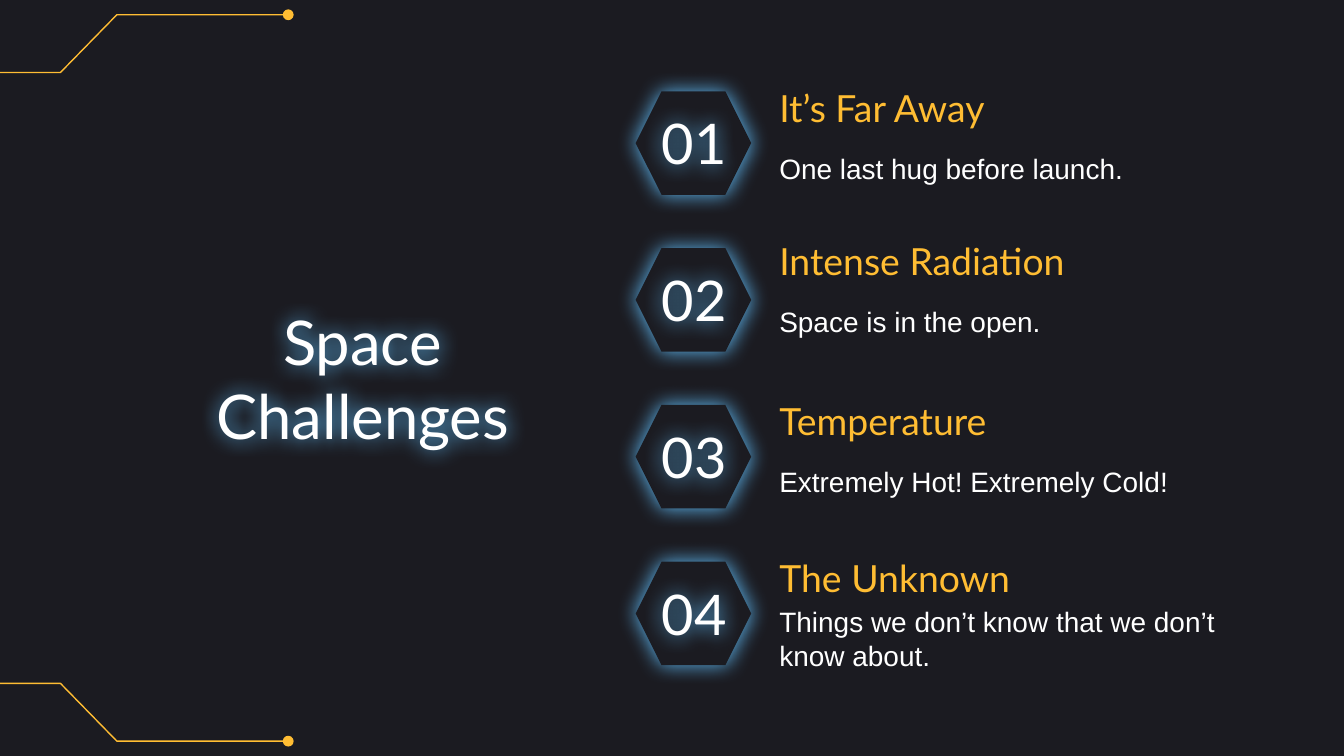
from lxml.etree import SubElement
from pptx import Presentation
from pptx.dml.color import RGBColor
from pptx.enum.shapes import MSO_SHAPE
from pptx.enum.text import MSO_ANCHOR, MSO_AUTO_SIZE, PP_ALIGN
from pptx.oxml.ns import qn
from pptx.util import Inches, Pt

SLIDE_HEIGHT = 5.625
DARK, GOLD, WHITE, GLOW = "1B1B21", "FFBD33", "FFFFFF", "60BBF5"
HEXAGON_TOP, HEXAGON_STEP = 0.68, (4.18 - 0.68) / 3

CHALLENGES = [
    ("It’s Far Away", "One last hug before launch.", 0.62),
    ("Intense Radiation", "Space is in the open.", 1.76),
    ("Temperature", "Extremely Hot! Extremely Cold!", 2.95),
    ("The Unknown", "Things we don’t know that we don’t know about.", 4.12),
]


def color(value):
    return RGBColor.from_string(value)


def set_fill(shape, value):
    shape.fill.solid()
    shape.fill.fore_color.rgb = color(value)


def set_line(shape):
    shape.line.color.rgb = color(GOLD)
    shape.line.width = Pt(0.75)


def add_glow(shape):
    shape.shadow.inherit = False
    effects = shape._element.spPr.find(qn("a:effectLst"))
    shadow = SubElement(effects, qn("a:outerShdw"), blurRad=str(Pt(11.2)),
                        algn="bl", rotWithShape="0")
    SubElement(shadow, qn("a:srgbClr"), val=GLOW)


def write_text(shape, lines, size, font, value, align=PP_ALIGN.LEFT):
    frame = shape.text_frame
    frame.word_wrap = True
    frame.auto_size = MSO_AUTO_SIZE.NONE
    frame.vertical_anchor = MSO_ANCHOR.MIDDLE
    frame.margin_left = frame.margin_right = Inches(0.1)
    frame.margin_top = frame.margin_bottom = Inches(0.1)
    paragraph = frame.paragraphs[0]
    paragraph.alignment = align
    for index, line in enumerate(lines):
        if index:
            paragraph.add_line_break()
        run = paragraph.add_run()
        run.text = line
        run.font.size = Pt(size)
        run.font.name = font
        run.font.color.rgb = color(value)


def add_text(slide, left, top, width, height, text, size, font, value, align=PP_ALIGN.LEFT):
    box = slide.shapes.add_textbox(Inches(left), Inches(top), Inches(width), Inches(height))
    write_text(box, [text], size, font, value, align)
    return box


def add_shape(slide, kind, left, top, width, height, value):
    shape = slide.shapes.add_shape(kind, Inches(left), Inches(top), Inches(width), Inches(height))
    shape.shadow.inherit = False
    set_fill(shape, value)
    shape.line.fill.background()
    return shape


def add_circuit(slide, inner, outer):
    points = [(Inches(x), Inches(y)) for x, y in
              [(-0.14, inner), (0.45, inner), (0.87, outer), (2.14, outer)]]
    builder = slide.shapes.build_freeform(*points[0])
    builder.add_line_segments(points[1:], close=False)
    trace = builder.convert_to_shape()
    trace.shadow.inherit = False
    trace.fill.background()
    set_line(trace)
    dot = add_shape(slide, MSO_SHAPE.OVAL, 2.11, outer - 0.035, 0.07, 0.07, GOLD)
    set_line(dot)


def add_number(slide, index):
    top = HEXAGON_TOP + index * HEXAGON_STEP
    hexagon = add_shape(slide, MSO_SHAPE.HEXAGON, 4.73, top, 0.86, 0.77, DARK)
    add_glow(hexagon)
    number = add_text(slide, 4.78, top + 0.07, 0.77, 0.62, f"{index + 1:02d}",
                      30, "Lato", WHITE, PP_ALIGN.CENTER)
    add_glow(number)


def add_challenge(slide, heading, description, top):
    add_text(slide, 5.7, top, 3.51, 0.36, heading, 20, "Lato", GOLD)
    add_text(slide, 5.7, top + 0.37, 3.51, 0.52, description, 15, "Arial", WHITE)


def format_title(slide):
    title = slide.shapes.title
    title.left, title.top = Inches(1.23), Inches(2.11)
    title.width, title.height = Inches(2.94), Inches(1.4)
    title.fill.background()
    write_text(title, ["Space", "Challenges"], 33, "Lato", WHITE, PP_ALIGN.CENTER)
    add_glow(title)


def main():
    presentation = Presentation()
    presentation.slide_width = Inches(10)
    presentation.slide_height = Inches(SLIDE_HEIGHT)
    slide = presentation.slides.add_slide(presentation.slide_layouts[5])
    set_fill(slide.background, DARK)
    format_title(slide)
    add_circuit(slide, 0.54, 0.11)
    add_circuit(slide, SLIDE_HEIGHT - 0.54, SLIDE_HEIGHT - 0.11)
    for index, (heading, description, top) in enumerate(CHALLENGES):
        add_number(slide, index)
        add_challenge(slide, heading, description, top)
    presentation.save("out.pptx")


if __name__ == "__main__":
    main()
